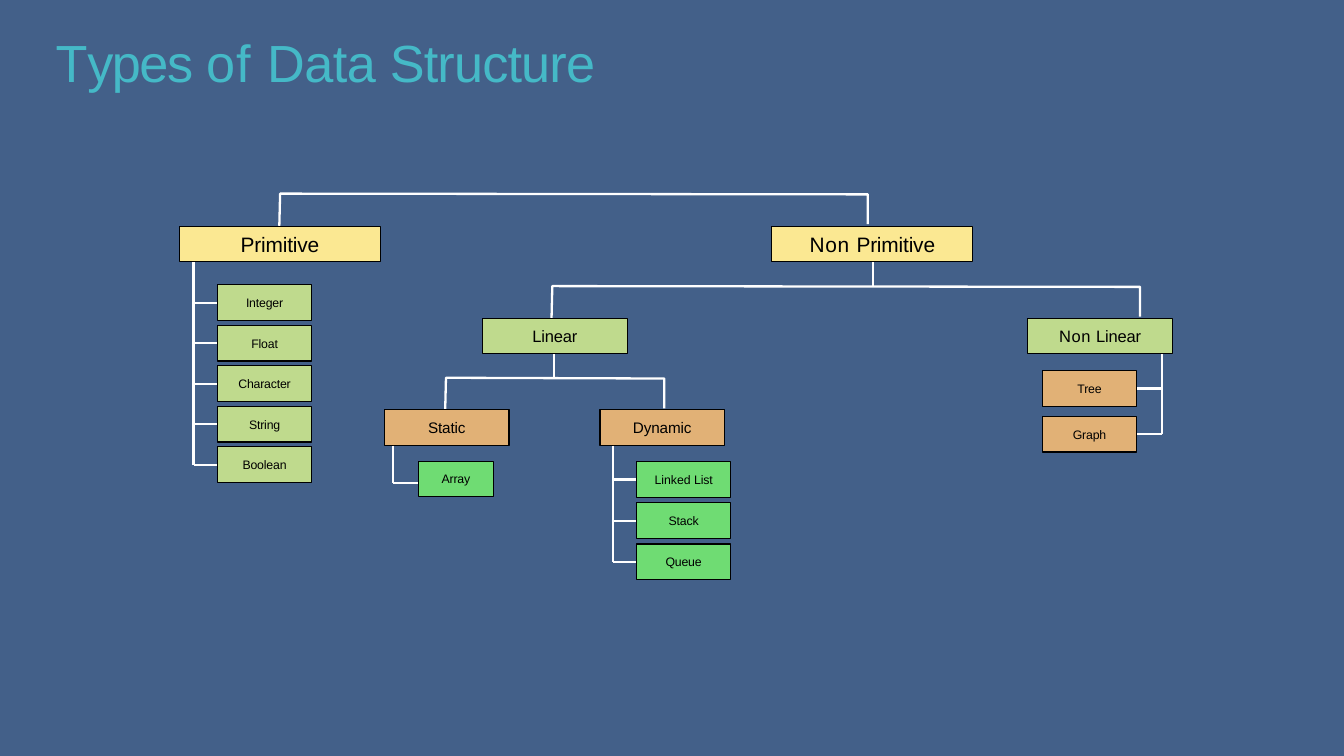
"""Build the slide that shows the types of data structure as a tree."""
from dataclasses import dataclass

import pptx
import pptx.dml.color
import pptx.enum.shapes
import pptx.enum.text
import pptx.oxml.ns
import pptx.util
from lxml import etree
from pptx.util import Cm


@dataclass(frozen=True)
class Theme:
    """Colours, type sizes and line widths of the slide."""
    font: str = "Arial"
    background: str = "436089"
    title: str = "45B9C7"
    text: str = "000000"
    outline: str = "000000"
    link: str = "FFFFFF"
    yellow: str = "FBE892"
    lime: str = "BFDA8D"
    orange: str = "E1B176"
    green: str = "6FDC73"
    title_size: float = 37.3
    root_size: float = 14.9
    branch_size: float = 11.8
    group_size: float = 10.9
    leaf_size: float = 8.8
    outline_width: float = 0.82
    link_width: float = 1.65


THEME = Theme()
BOX_HEIGHT = 0.9
LEAF_WIDTH = 2.38


def rgb(value):
    """Return a colour object for a hex value."""
    return pptx.dml.color.RGBColor.from_string(value)


def add_run(paragraph, text, size, color, spacing=-0.1):
    """Append one run with its letter spacing in points."""
    run = paragraph.add_run()
    run.text = text
    run.font.name = THEME.font
    run.font.size = pptx.util.Pt(size)
    run.font.color.rgb = rgb(color)
    run.font._element.set("spc", str(round(spacing * 100)))


def clear_margins(frame):
    """Remove the inner margins of a text frame."""
    frame.margin_left = frame.margin_right = 0
    frame.margin_top = frame.margin_bottom = 0


def style_link(shape):
    """Give a connecting line its colour and width."""
    shape.line.color.rgb = rgb(THEME.link)
    shape.line.width = pptx.util.Pt(THEME.link_width)


def add_title(slide, runs):
    """Add the slide title from pairs of text and letter spacing."""
    shape = slide.shapes.add_textbox(Cm(1.4), Cm(0.77), Cm(18.6), Cm(1.63))
    frame = shape.text_frame
    frame.word_wrap = True
    clear_margins(frame)
    for text, spacing in runs:
        add_run(frame.paragraphs[0], text, THEME.title_size, THEME.title, spacing)


def add_box(slide, runs, left, top, width, fill, size):
    """Add a labelled box of the tree."""
    shape = slide.shapes.add_shape(
        pptx.enum.shapes.MSO_SHAPE.RECTANGLE,
        Cm(left), Cm(top), Cm(width), Cm(BOX_HEIGHT))
    shape.shadow.inherit = False
    shape.fill.solid()
    shape.fill.fore_color.rgb = rgb(fill)
    shape.line.color.rgb = rgb(THEME.outline)
    shape.line.width = pptx.util.Pt(THEME.outline_width)
    frame = shape.text_frame
    frame.word_wrap = True
    frame.vertical_anchor = pptx.enum.text.MSO_ANCHOR.MIDDLE
    clear_margins(frame)
    paragraph = frame.paragraphs[0]
    paragraph.alignment = pptx.enum.text.PP_ALIGN.CENTER
    for text, spacing in runs:
        add_run(paragraph, text, size, THEME.text, spacing)


def add_link(slide, x1, y1, x2, y2):
    """Add a straight connecting line."""
    connector = slide.shapes.add_connector(
        pptx.enum.shapes.MSO_CONNECTOR.STRAIGHT, Cm(x1), Cm(y1), Cm(x2), Cm(y2))
    style_link(connector)
    etree.SubElement(connector._element.spPr, pptx.oxml.ns.qn("a:effectLst"))


def add_bracket(slide, left, top, right):
    """Add the open bracket that joins two sibling boxes."""
    builder = slide.shapes.build_freeform(Cm(left), Cm(top + 0.81))
    builder.add_line_segments(
        [(Cm(left + 0.02), Cm(top)), (Cm(right), Cm(top + 0.02)),
         (Cm(right), Cm(top + 0.77))], close=False)
    shape = builder.convert_to_shape()
    shape.shadow.inherit = False
    shape.fill.background()
    style_link(shape)


def add_leaves(slide, labels, trunk, trunk_top, left, top, pitch, fill,
               width=LEAF_WIDTH, stub_drop=BOX_HEIGHT / 2):
    """Add a column of leaf boxes hung from a vertical trunk."""
    edge = left if trunk < left else left + width
    tops = [top + pitch * index for index in range(len(labels))]
    add_link(slide, trunk, trunk_top, trunk, tops[-1] + stub_drop)
    for runs, leaf_top in zip(labels, tops):
        add_link(slide, trunk, leaf_top + stub_drop, edge, leaf_top + stub_drop)
        add_box(slide, runs, left, leaf_top, width, fill, THEME.leaf_size)


def plain(*labels):
    """Turn labels into lists of one evenly spaced run."""
    return [[(label, -0.1)] for label in labels]


def add_level(slide, labels, lefts, top, width, fill, size):
    """Add the sibling boxes of one level."""
    for runs, left in zip(labels, lefts):
        add_box(slide, runs, left, top, width, fill, size)


def main():
    """Create the presentation and save it."""
    presentation = pptx.Presentation()
    presentation.slide_width, presentation.slide_height = Cm(33.87), Cm(19.05)
    slide = presentation.slides.add_slide(presentation.slide_layouts[6])
    slide.background.fill.solid()
    slide.background.fill.fore_color.rgb = rgb(THEME.background)
    add_title(slide, [("T", -5.7), ("ypes ", -1.1), ("of ", 0.7),
                      ("Data ", -0.4), ("Structure", -0.6)])

    root_top, branch_top, group_top = 5.7, 8.02, 10.33
    root_bottom, branch_bottom, group_bottom = (
        top + BOX_HEIGHT for top in (root_top, branch_top, group_top))

    for left, top, right in ((7.04, 4.88, 21.87), (13.9, 7.21, 28.73),
                             (11.22, 9.52, 16.74)):
        add_bracket(slide, left, top, right)
    add_link(slide, 22, root_bottom, 22, 7.21)
    add_link(slide, 13.97, branch_bottom, 13.97, 9.52)

    add_level(slide, [[("Primitive", -0.1)], [("Non ", 0.5), ("Primitive", -0.1)]],
              (4.52, 19.45), root_top, 5.07, THEME.yellow, THEME.root_size)
    add_level(slide, [[("Linear", -0.1)], [("Non ", 0.4), ("Linear", -0.1)]],
              (12.15, 25.89), branch_top, 3.67, THEME.lime, THEME.branch_size)
    add_level(slide, plain("Static", "Dynamic"),
              (9.69, 15.12), group_top, 3.14, THEME.orange, THEME.group_size)

    add_leaves(slide, plain("Integer", "Float", "Character", "String", "Boolean"),
               4.88, root_bottom, 5.48, 7.18, 1.02, THEME.lime)
    add_leaves(slide, plain("Tree", "Graph"),
               29.29, branch_bottom, 26.27, 9.34, 1.15, THEME.orange)
    add_leaves(slide, plain("Array"), 9.91, group_bottom, 10.54, 11.62, 0,
               THEME.green, width=1.9, stub_drop=0.55)
    add_leaves(slide, [[("Linked ", 0), ("List", -0.1)], *plain("Stack", "Queue")],
               15.45, group_bottom, 16.04, 11.63, 1.04, THEME.green)

    presentation.save("out.pptx")


if __name__ == "__main__":
    main()
